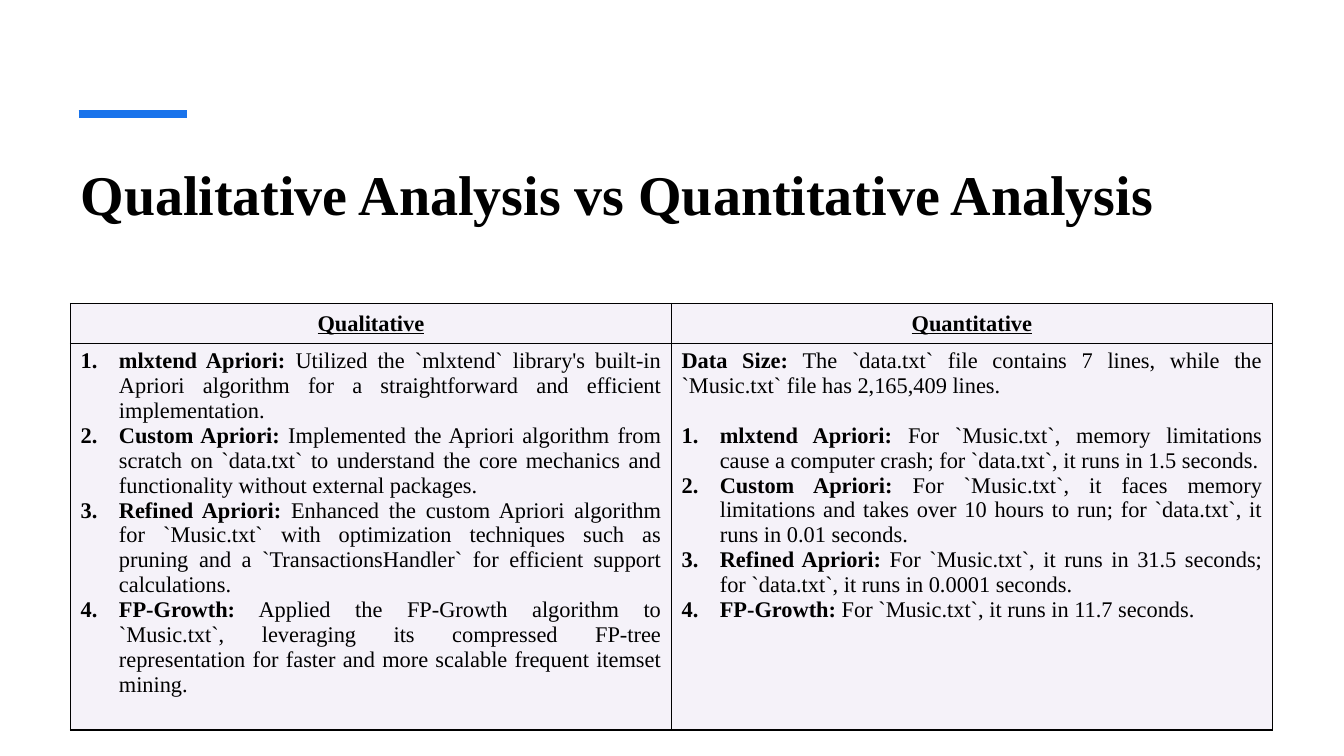
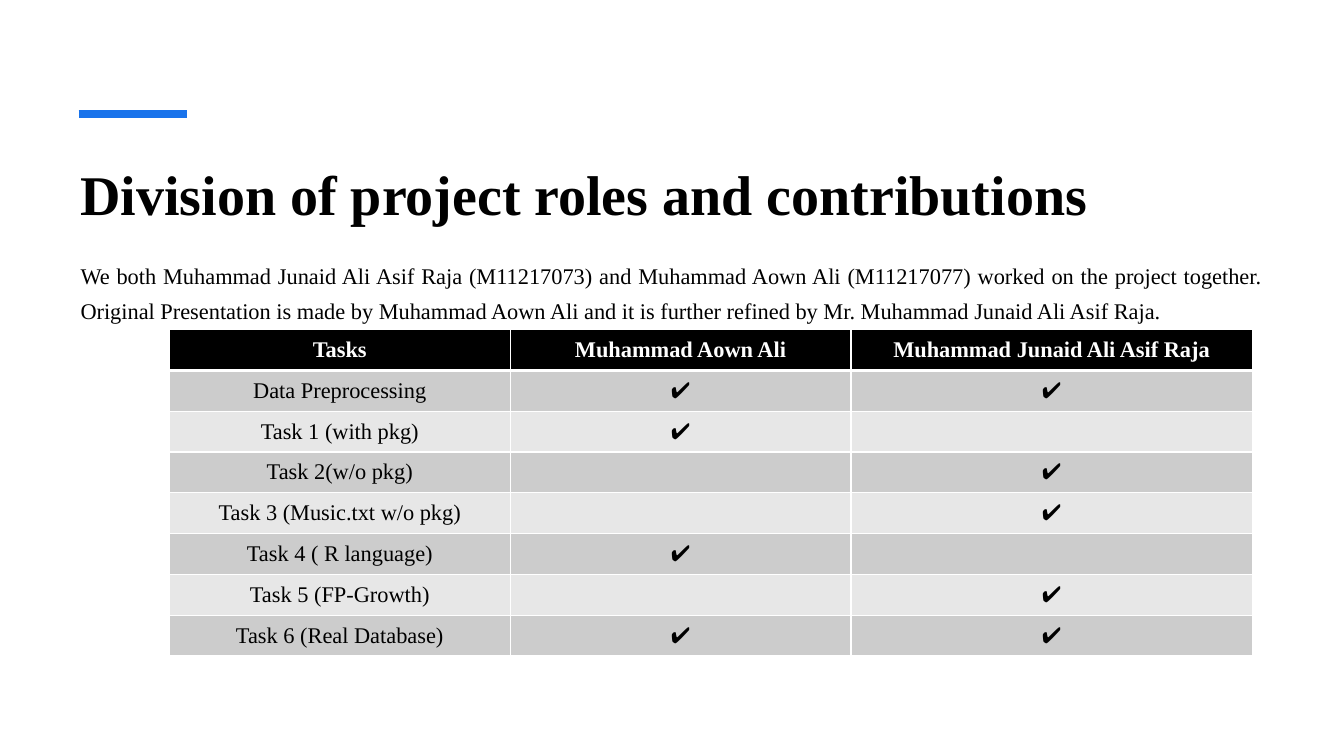
"""Build two slides: an analysis comparison and a table of project roles."""
import lxml.etree
import pptx
import pptx.dml.color
import pptx.enum.shapes
import pptx.enum.text
import pptx.oxml
import pptx.oxml.ns
import pptx.util

Inches = pptx.util.Inches
Pt = pptx.util.Pt
Align = pptx.enum.text.PP_ALIGN
Anchor = pptx.enum.text.MSO_ANCHOR
Color = pptx.dml.color.RGBColor.from_string
qn = pptx.oxml.ns.qn

THEME = {
    "font": "Times New Roman",
    "title_size": Pt(40),
    "text_size": Pt(16),
    "accent_width": Pt(6),
    "black": "000000",
    "white": "FFFFFF",
    "accent": "1973EB",
    "lavender": "F5F2F9",
    "bands": ("CCCCCC", "E7E7E7"),
}
LEFT, WIDTH = 0.7, 11.92


def write_paragraph(para, lead, rest="", color="black", size="text_size",
                    underline=False, numbered=False, **layout):
    """Write a bold lead and plain rest, with optional numbering."""
    if numbered:
        properties = para._p.get_or_add_pPr()
        properties.set("marL", str(Inches(0.38)))
        properties.set("indent", str(-Inches(0.38)))
        lxml.etree.SubElement(properties, qn("a:buFont"), typeface="+mj-lt")
        lxml.etree.SubElement(properties, qn("a:buAutoNum"), type="arabicPeriod")
    for name, value in layout.items():
        setattr(para, name, value)
    for text, bold in ((lead, True), (rest, False)):
        if text:
            span = para.add_run()
            span.text = text
            formats = {"name": THEME["font"], "size": THEME[size],
                       "bold": bold, "underline": underline}
            for name, value in formats.items():
                setattr(span.font, name, value)
            span.font.color.rgb = Color(THEME[color])


def paint_cell(cell, fill, border, top=1, bottom=1):
    """Fill a cell and draw its four borders."""
    cell.fill.solid()
    cell.fill.fore_color.rgb = Color(fill)
    properties = cell._tc.get_or_add_tcPr()
    edges = {"lnL": 1, "lnR": 1, "lnT": top, "lnB": bottom}
    for position, (edge, points) in enumerate(edges.items()):
        line = lxml.etree.Element(qn(f"a:{edge}"), w=str(Pt(points)))
        solid = lxml.etree.SubElement(line, qn("a:solidFill"))
        lxml.etree.SubElement(solid, qn("a:srgbClr"), val=border)
        properties.insert(position, line)


deck = pptx.Presentation()
deck.slide_width = Inches(13.33)
deck.slide_height = Inches(7.5)

pages = []
for title in ("Qualitative Analysis vs Quantitative Analysis",
              "Division of project roles and contributions"):
    page = deck.slides.add_slide(deck.slide_layouts[6])
    accent = page.shapes.add_connector(
        pptx.enum.shapes.MSO_CONNECTOR.STRAIGHT,
        Inches(0.78), Inches(1.13), Inches(1.85), Inches(1.13))
    accent.line.color.rgb = Color(THEME["accent"])
    accent.line.width = THEME["accent_width"]
    lxml.etree.SubElement(accent._element.spPr, qn("a:effectLst"))
    box = page.shapes.add_textbox(Inches(LEFT), Inches(1.5), Inches(WIDTH), Inches(0.83))
    box.text_frame.word_wrap = True
    box.text_frame.vertical_anchor = Anchor.MIDDLE
    write_paragraph(box.text_frame.paragraphs[0], title, size="title_size")
    pages.append(page)
analysis_page, roles_page = pages

analysis = {
    "Qualitative": [
        ("mlxtend Apriori:", " Utilized the `mlxtend` library's built-in Apriori algorithm for a straightforward and efficient implementation."),
        ("Custom Apriori:", " Implemented the Apriori algorithm from scratch on `data.txt` to understand the core mechanics and functionality without external packages."),
        ("Refined Apriori:", " Enhanced the custom Apriori algorithm for `Music.txt` with optimization techniques such as pruning and a `TransactionsHandler` for efficient support calculations."),
        ("FP-Growth:", " Applied the FP-Growth algorithm to `Music.txt`, leveraging its compressed FP-tree representation for faster and more scalable frequent itemset mining."),
    ],
    "Quantitative": [
        ("Data Size:", " The `data.txt` file contains 7 lines, while the `Music.txt` file has 2,165,409 lines."),
        ("mlxtend Apriori:", " For `Music.txt`, memory limitations cause a computer crash; for `data.txt`, it runs in 1.5 seconds."),
        ("Custom Apriori:", " For `Music.txt`, it faces memory limitations and takes over 10 hours to run; for `data.txt`, it runs in 0.01 seconds."),
        ("Refined Apriori:", " For `Music.txt`, it runs in 31.5 seconds; for `data.txt`, it runs in 0.0001 seconds."),
        ("FP-Growth:", " For `Music.txt`, it runs in 11.7 seconds."),
    ],
}
table = analysis_page.shapes.add_table(
    2, 2, Inches(LEFT), Inches(3.01), Inches(WIDTH), Inches(3.95)).table
table.rows[0].height = Inches(0.4)
table.rows[1].height = Inches(3.55)
for column, (heading, points) in enumerate(analysis.items()):
    table.columns[column].width = Inches(WIDTH / 2)
    head, body = table.cell(0, column), table.cell(1, column)
    for cell in (head, body):
        paint_cell(cell, THEME["lavender"], THEME["black"])
    head.vertical_anchor = Anchor.MIDDLE
    write_paragraph(head.text_frame.paragraphs[0], heading,
                    underline=True, alignment=Align.CENTER)
    frame = body.text_frame
    for index, (lead, rest) in enumerate(points):
        para = frame.add_paragraph() if index else frame.paragraphs[0]
        after_size = index and points[index - 1][0] == "Data Size:"
        write_paragraph(para, lead, rest, numbered=lead != "Data Size:",
                        alignment=Align.JUSTIFY,
                        space_before=Pt(17.7 if after_size else 0))

box = roles_page.shapes.add_textbox(Inches(LEFT), Inches(2.47), Inches(WIDTH), Inches(0.8))
box.text_frame.word_wrap = True
write_paragraph(
    box.text_frame.paragraphs[0], "",
    "We both Muhammad Junaid Ali Asif Raja (M11217073) and Muhammad Aown Ali (M11217077) worked on the project together. "
    "Original Presentation is made by Muhammad Aown Ali and it is further refined by Mr. Muhammad Junaid Ali Asif Raja.",
    alignment=Align.JUSTIFY, line_spacing=1.3)

roles = [
    ("Tasks", "Muhammad Aown Ali", "Muhammad Junaid Ali Asif Raja"),
    ("Data Preprocessing", "✔", "✔"),
    ("Task 1 (with pkg)", "✔", ""),
    ("Task 2(w/o pkg)", "", "✔"),
    ("Task 3 (Music.txt w/o pkg)", "", "✔"),
    ("Task 4 ( R language)", "✔", ""),
    ("Task 5 (FP-Growth)", "", "✔"),
    ("Task 6 (Real Database)", "✔", "✔"),
]
role_widths = (3.38, 3.38, 3.98)
row_height = 0.405
table = roles_page.shapes.add_table(
    len(roles), len(role_widths), Inches(1.68), Inches(3.27),
    Inches(sum(role_widths)), Inches(row_height * len(roles))).table
for column, width in enumerate(role_widths):
    table.columns[column].width = Inches(width)
for row, texts in enumerate(roles):
    table.rows[row].height = Inches(row_height)
    heading = row == 0
    fill = THEME["black"] if heading else THEME["bands"][(row - 1) % 2]
    for column, text in enumerate(texts):
        cell = table.cell(row, column)
        paint_cell(cell, fill, THEME["white"],
                   top=3 if row == 1 else 1, bottom=3 if heading else 1)
        cell.vertical_anchor = Anchor.MIDDLE
        write_paragraph(cell.text_frame.paragraphs[0],
                        text if heading else "", "" if heading else text,
                        color="white" if heading else "black",
                        alignment=Align.CENTER)

deck.save("out.pptx")
